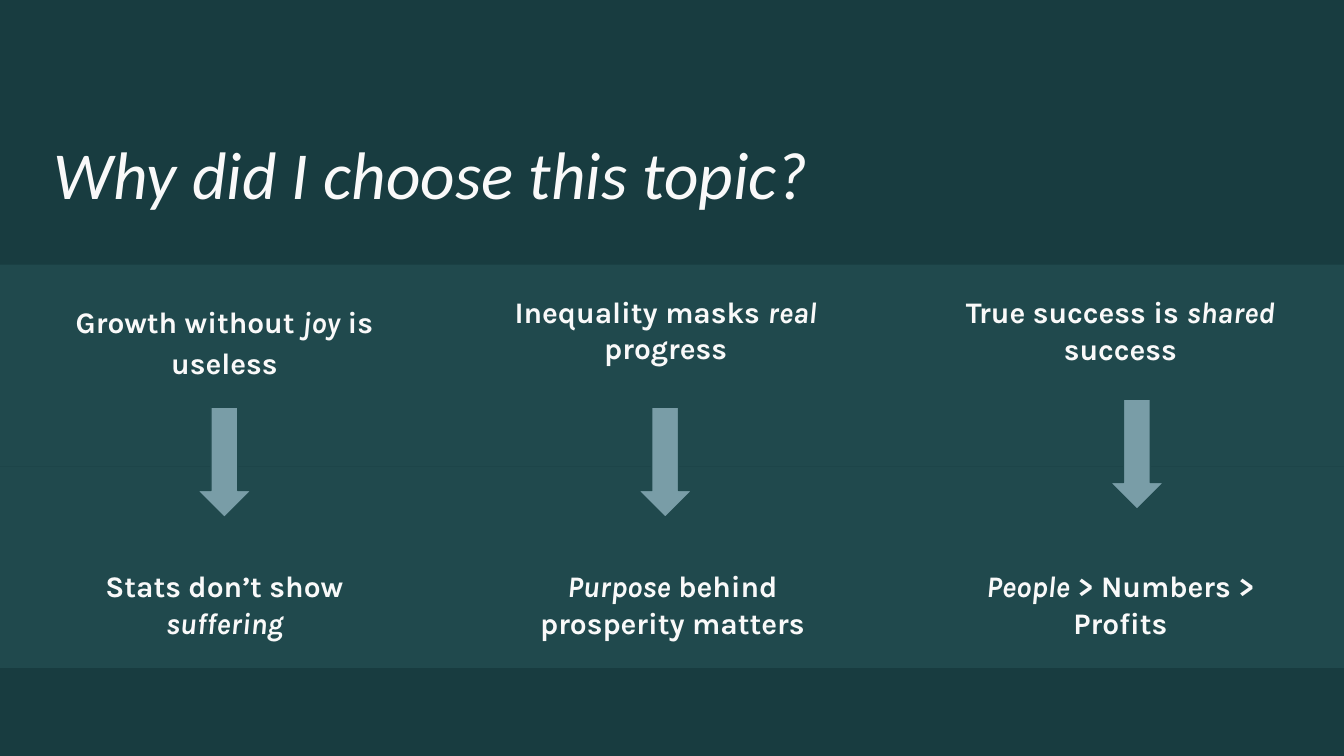
from dataclasses import dataclass
from pptx import Presentation
from pptx.dml.color import RGBColor as Rgb
from pptx.enum.shapes import MSO_SHAPE as Shape
from pptx.enum.text import MSO_ANCHOR as Anchor, PP_ALIGN as Align
from pptx.util import Inches, Pt

WIDE = 10
HIGH = WIDE * 9 / 16
COL = WIDE / 3
TOP, ROW = 1.97, 1.5
PAD = 0.4
TEXT_W = 2.54
LOW = 4.22
LOOSE, TIGHT = 1.15, 1.02


@dataclass(frozen=True)
class Theme:
    back: str = "183C40"
    cell: str = "20494D"
    arrow: str = "799DA7"
    ink: str = "F9F9F9"
    head: str = "Calibri"
    body: str = "Karla"
    head_size: int = 36
    body_size: int = 16


THEME = Theme()
HEAD = {"name": THEME.head, "size": Pt(THEME.head_size)}
BODY = {"name": THEME.body, "size": Pt(THEME.body_size), "bold": True}

# Each entry: left, top, height, line spacing, runs as (text, italic)
NOTES = [
    (PAD, 2.22, 0.64, LOOSE,
     [("Growth without ", False), ("joy", True), (" is useless", False)]),
    (COL + 0.35, 2.18, 0.64, TIGHT,
     [("Inequality masks ", False), ("real ", True), ("progress", False)]),
    (2 * COL + PAD, 2.18, 0.55, TIGHT,
     [("True success is ", False), ("shared ", True), ("success", False)]),
    (PAD, LOW, 0.44, TIGHT,
     [("Stats don’t show ", False), ("suffering", True)]),
    (COL + PAD, LOW, 0.21, TIGHT,
     [("Purpose", True), (" behind prosperity matters", False)]),
    (2 * COL + PAD, LOW, 0.44, TIGHT,
     [("People", True), (" > Numbers > Profits", False)]),
]
ARROWS = [(1.47, 3.03), (4.75, 3.03), (8.26, 2.97)]


def style(item, form):
    for key, value in form.items():
        setattr(item, key, value)


def add_form(slide, kind, box, fill, line=None):
    form = slide.shapes.add_shape(kind, *map(Inches, box))
    form.shadow.inherit = False
    form.fill.solid()
    form.fill.fore_color.rgb = Rgb.from_string(fill)
    if line:
        form.line.color.rgb = Rgb.from_string(line)
        form.line.width = Pt(0.75)
    else:
        form.line.fill.background()


def add_text(slide, box, runs, font, align, space):
    frame = slide.shapes.add_textbox(*map(Inches, box)).text_frame
    style(frame, {"word_wrap": True, "vertical_anchor": Anchor.TOP,
                  "margin_left": 0, "margin_right": 0,
                  "margin_top": 0, "margin_bottom": 0})
    para = frame.paragraphs[0]
    style(para, {"alignment": align, "line_spacing": space})
    for text, slant in runs:
        run = para.add_run()
        run.text = text
        style(run.font, {**font, "italic": slant})
        run.font.color.rgb = Rgb.from_string(THEME.ink)


def main():
    deck = Presentation()
    style(deck, {"slide_width": Inches(WIDE), "slide_height": Inches(HIGH)})
    slide = deck.slides.add_slide(deck.slide_layouts[6])
    slide.background.fill.solid()
    slide.background.fill.fore_color.rgb = Rgb.from_string(THEME.back)

    # Panel of three columns and two rows
    for row in range(2):
        for col in range(3):
            box = (col * COL, TOP + row * ROW, COL, ROW)
            add_form(slide, Shape.RECTANGLE, box, THEME.cell)

    # Title
    add_text(slide, (PAD, 1.05, 6.25, 0.55),
             [("Why did I choose this topic?", True)], HEAD, Align.LEFT, 0.9)

    # Reasons above, conclusions below
    for left, top, high, space, runs in NOTES:
        add_text(slide, (left, top, TEXT_W, high), runs, BODY,
                 Align.CENTER, space)

    # Arrows from reason to conclusion
    for left, top in ARROWS:
        add_form(slide, Shape.DOWN_ARROW, (left, top, 0.4, 0.82),
                 THEME.arrow, THEME.cell)

    deck.save("out.pptx")


if __name__ == "__main__":
    main()
